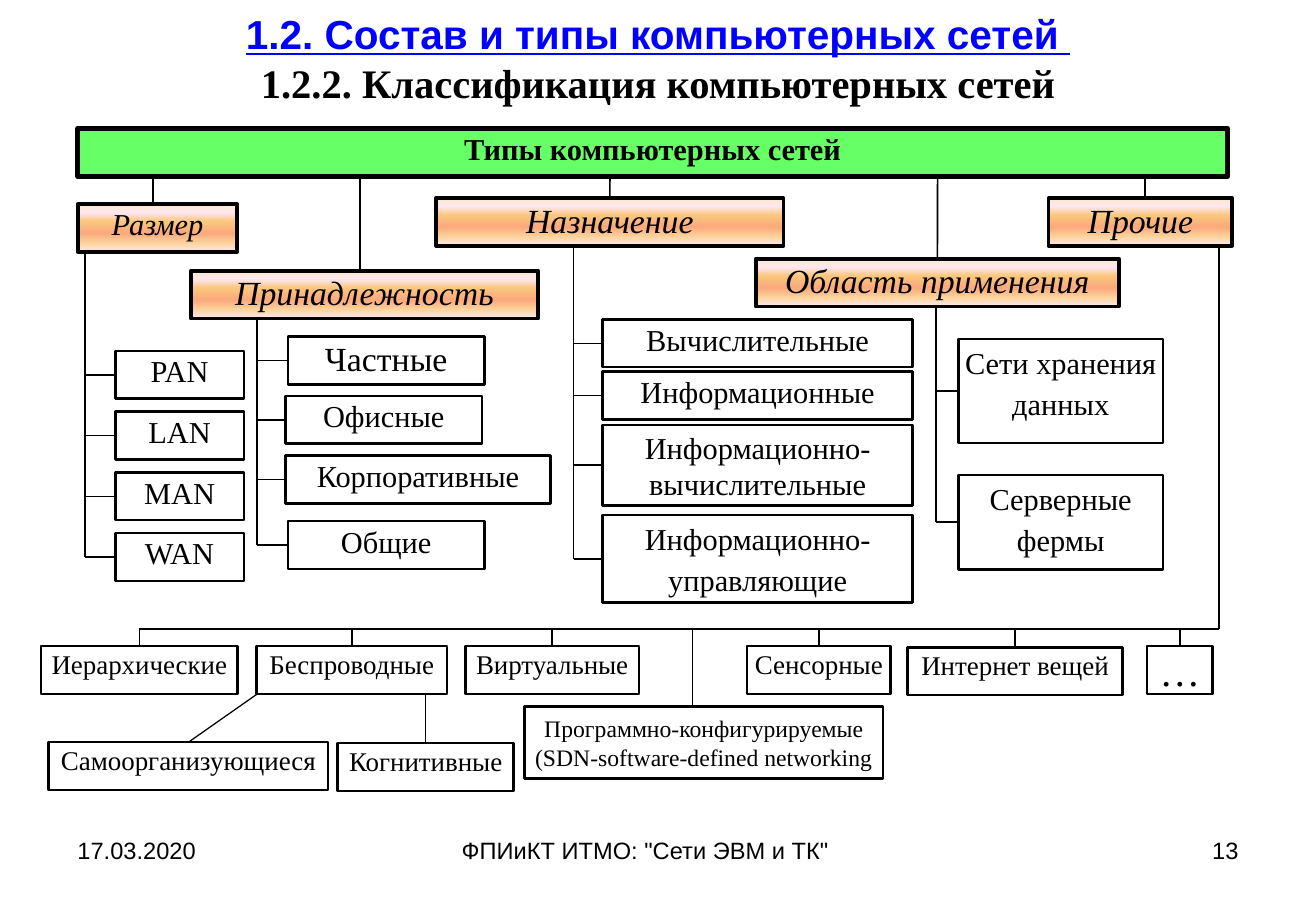
from lxml import etree
from pptx import Presentation
from pptx.dml.color import RGBColor
from pptx.enum.shapes import MSO_CONNECTOR, MSO_SHAPE
from pptx.enum.text import MSO_ANCHOR, PP_ALIGN
from pptx.oxml.ns import qn
from pptx.util import Cm, Pt

RECTANGLE = MSO_SHAPE.RECTANGLE
STRAIGHT = MSO_CONNECTOR.STRAIGHT
TOP, MIDDLE = MSO_ANCHOR.TOP, MSO_ANCHOR.MIDDLE
LEFT, CENTER, RIGHT = PP_ALIGN.LEFT, PP_ALIGN.CENTER, PP_ALIGN.RIGHT
TOP_SIDE, LEFT_SIDE = 0, 1

SERIF, SANS = "Times New Roman", "Arial"
THEME = {
    "black": RGBColor(0, 0, 0),
    "blue": RGBColor(0, 0, 255),
    "gradient": [(0, "FBEAC7"), (18, "FEE7F2"), (36, "FAC77D"),
                 (61, "FBA97D"), (82, "FBD49C"), (100, "FEE7F2")],
    "root": {"fill": RGBColor(0x66, 0xFF, 0x66), "border": 3,
             "font": {"name": SERIF, "size": Pt(18), "bold": True}},
    "category": {"fill": None, "border": 2.25,
                 "font": {"name": SERIF, "size": Pt(20), "italic": True}},
    "item": {"fill": RGBColor(255, 255, 255), "border": 1.5,
             "font": {"name": SERIF, "size": Pt(18)}},
    "chapter": {"name": SANS, "size": Pt(24), "bold": True, "underline": True},
    "section": {"name": SERIF, "size": Pt(24), "bold": True},
    "footer": {"name": SANS, "size": Pt(14)},
    "large": 20, "small": 18, "kind": 16, "note": 14, "dots": 24,
    "thin": 0.75, "normal": 1,
}
ROW = 1.0  # height of a one-line box, cm

prs = Presentation()
prs.slide_width, prs.slide_height = Cm(27.51), Cm(19.05)
slide = prs.slides.add_slide(prs.slide_layouts[6])


def add_box(text, left, top, width, height, style, size=None, anchor=TOP, spacing=None):
    look = THEME[style]
    box = slide.shapes.add_shape(RECTANGLE, Cm(left), Cm(top), Cm(width), Cm(height))
    box.shadow.inherit = False
    box.line.color.rgb = THEME["black"]
    box.line.width = Pt(look["border"])
    if look["fill"] is None:
        box.fill.gradient()
        box.fill.gradient_angle = 270
        stops = box._element.spPr.find(qn("a:gradFill")).find(qn("a:gsLst"))
        for stop in list(stops):
            stops.remove(stop)
        for percent, color in THEME["gradient"]:
            stop = etree.SubElement(stops, qn("a:gs"), pos=str(percent * 1000))
            etree.SubElement(stop, qn("a:srgbClr"), val=color)
    else:
        box.fill.solid()
        box.fill.fore_color.rgb = look["fill"]
    frame = box.text_frame
    layout = {"word_wrap": True, "vertical_anchor": anchor,
              "margin_left": Cm(0.05), "margin_right": Cm(0.05),
              "margin_top": Cm(0.03), "margin_bottom": Cm(0.03)}
    for key, value in layout.items():
        setattr(frame, key, value)
    frame.text = text
    for paragraph in frame.paragraphs:
        paragraph.alignment = CENTER
        if spacing:
            paragraph.line_spacing = Pt(spacing)
        font = paragraph.runs[0].font
        for key, value in look["font"].items():
            setattr(font, key, value)
        if size:
            font.size = Pt(size)
        font.color.rgb = THEME["black"]
    return box


def add_line(x1, y1, x2, y2, weight="normal", target=None, side=TOP_SIDE):
    line = slide.shapes.add_connector(STRAIGHT, Cm(x1), Cm(y1), Cm(x2), Cm(y2))
    line.line.color.rgb = THEME["black"]
    line.line.width = Pt(THEME[weight])
    etree.SubElement(line._element.spPr, qn("a:effectLst"))
    if target is not None:
        line.end_connect(target, side)


# Title and footer: place, alignment, anchor, lines
for left, top, width, height, align, anchor, lines in [
    (1.37, -0.1, 24.77, 2.62, CENTER, MIDDLE,
     [("1.2. Состав и типы компьютерных сетей ", "chapter", "blue"),
      ("1.2.2. Классификация компьютерных сетей", "section", "black")]),
    (1.37, 17.35, 6.43, 1.32, LEFT, TOP, [("17.03.2020", "footer", "black")]),
    (9.4, 17.35, 8.71, 1.32, LEFT, TOP,
     [('ФПИиКТ ИТМО: "Сети ЭВМ и ТК"', "footer", "black")]),
    (19.71, 17.35, 6.43, 1.32, RIGHT, TOP, [("13", "footer", "black")]),
]:
    frame = slide.shapes.add_textbox(Cm(left), Cm(top), Cm(width), Cm(height)).text_frame
    frame.word_wrap = True
    frame.vertical_anchor = anchor
    paragraph = frame.paragraphs[0]
    paragraph.alignment = align
    for number, (text, style, color) in enumerate(lines):
        if number:
            paragraph.add_line_break()
        run = paragraph.add_run()
        run.text = text
        for key, value in THEME[style].items():
            setattr(run.font, key, value)
        run.font.color.rgb = THEME[color]

# Root of the classification
root_bottom = 2.69 + ROW
add_box("Типы компьютерных сетей", 1.63, 2.69, 24.03, ROW, "root")

# Categories: text, left, top, width, size, x of the drop, x of the trunk, items
# Items: text, left, top, width, height, size, anchor, line spacing
sizes = [(name, 2.41, 7.34 + 1.27 * i, 2.69, ROW, "small", TOP, None)
         for i, name in enumerate(["PAN", "LAN", "MAN", "WAN"])]
owners = [("Частные", 6.02, 7.04, 4.11, ROW, "large", TOP, None),
          ("Офисные", 5.97, 8.28, 4.11, ROW, "small", TOP, None),
          ("Корпоративные", 5.97, 9.53, 5.54, ROW, "small", TOP, None),
          ("Общие", 6.02, 10.9, 4.11, ROW, "small", TOP, None)]
purposes = [("Вычислительные", 12.6, 6.68, 6.48, ROW, "small", TOP, None),
            ("Информационные", 12.6, 7.77, 6.48, ROW, "small", TOP, None),
            ("Информационно-вычислительные", 12.6, 8.89, 6.48, 1.68, "small", MIDDLE, None),
            ("Информационно-управляющие", 12.6, 10.77, 6.48, 1.83, "small", TOP, 24)]
areas = [("Сети хранения данных", 20.04, 7.09, 4.27, 2.18, "small", TOP, 24),
         ("Серверные фермы", 20.04, 9.93, 4.27, 1.98, "small", TOP, 24)]
categories = [
    ("Размер", 1.63, 4.27, 3.33, "small", 3.2, 1.78, sizes),
    ("Принадлежность", 3.99, 5.66, 7.26, "large", 7.52, 5.37, owners),
    ("Назначение", 9.12, 4.14, 7.26, "large", 12.75, 11.99, purposes),
    ("Область применения", 15.8, 5.41, 7.59, "large", 19.6, 19.56, areas),
    ("Прочие", 21.92, 4.14, 3.84, "large", 23.93, None, []),
]
for text, left, top, width, size, drop, trunk, items in categories:
    category = add_box(text, left, top, width, ROW, "category", THEME[size])
    centered = abs(drop - left - width / 2) < 0.05
    add_line(drop, root_bottom, drop, top, target=category if centered else None)
    for name, x, y, w, h, item_size, anchor, spacing in items:
        item = add_box(name, x, y, w, h, "item", THEME[item_size], anchor, spacing)
        middle = y + h / 2
        add_line(trunk, middle, x, middle, target=item, side=LEFT_SIDE)
    if items:
        add_line(trunk, top + ROW, trunk, middle)

# Other kinds, hung from one bus
bus, bus_end, kinds_top = 13.16, 25.48, 13.51
kinds = [("Иерархические", 0.86, kinds_top, 4.11, "kind", TOP),
         ("Беспроводные", 5.36, kinds_top, 3.99, "kind", TOP),
         ("Виртуальные", 9.73, kinds_top, 3.63, "kind", TOP),
         ("Сенсорные", 15.62, kinds_top, 3.0, "kind", TOP),
         ("Интернет вещей", 18.97, 13.54, 4.5, "kind", TOP),
         ("…", 23.98, kinds_top, 1.37, "dots", MIDDLE)]
for text, left, top, width, size, anchor in kinds:
    kind = add_box(text, left, top, width, ROW, "item", THEME[size], anchor)
    center = left + width / 2
    add_line(center, bus, center, top, target=kind)
add_line(0.86 + 4.11 / 2, bus, bus_end, bus)
add_line(bus_end, bus, bus_end, 4.14 + ROW)

# Software-defined networks
add_box("Программно-конфигурируемые\n(SDN-software-defined networking",
        10.97, 14.78, 7.49, 1.5, "item", THEME["note"], MIDDLE)
add_line(14.48, bus, 14.48, 14.78, "thin")

# Kinds of wireless networks
for text, left, top, width, start in [("Самоорганизующиеся", 1.02, 15.52, 5.84, 5.38),
                                      ("Когнитивные", 7.06, 15.54, 3.68, 8.9)]:
    wireless = add_box(text, left, top, width, ROW, "item", THEME["kind"])
    add_line(start, kinds_top + ROW, left + width / 2, top, "thin", wireless)

prs.save("out.pptx")
